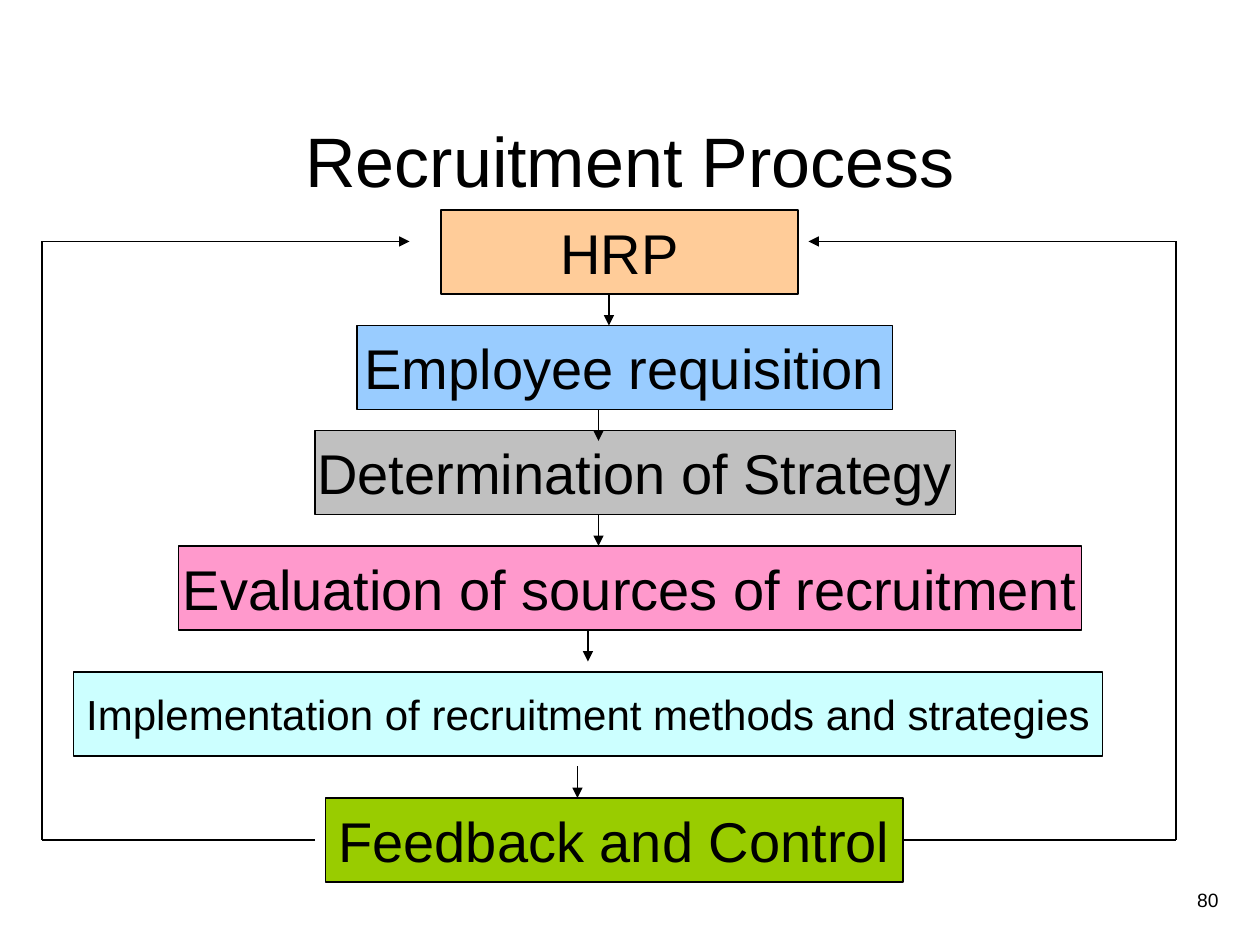
from itertools import pairwise

from lxml.etree import SubElement
from pptx import Presentation
from pptx.dml.color import RGBColor
from pptx.enum.shapes import MSO_CONNECTOR, MSO_SHAPE
from pptx.enum.text import MSO_ANCHOR, MSO_AUTO_SIZE, PP_ALIGN
from pptx.oxml.ns import qn
from pptx.util import Pt

BLACK = RGBColor(0x00, 0x00, 0x00)
PEACH = RGBColor(0xFF, 0xCC, 0x99)
SKY = RGBColor(0x99, 0xCC, 0xFF)
SILVER = RGBColor(0xC0, 0xC0, 0xC0)
PINK = RGBColor(0xFF, 0x99, 0xCC)
AQUA = RGBColor(0xCC, 0xFF, 0xFF)
LIME = RGBColor(0x99, 0xCC, 0x00)

TITLE = "Recruitment Process"
PAGE_NUMBER = "80"
STEP_HEIGHT = 48
ARROW_LENGTH = 18

# text, left, top, width, fill, text size
STEPS = [
    ("HRP", 252, 120, 204, PEACH, 32),
    ("Employee requisition", 204, 186, 306, SKY, 32),
    ("Determination of Strategy", 180, 246, 366, SILVER, 32),
    ("Evaluation of sources of recruitment", 102, 312, 516, PINK, 32),
    ("Implementation of recruitment methods and strategies", 42, 384, 588, AQUA, 24),
    ("Feedback and Control", 186, 456, 330, LIME, 32),
]
STEP_ARROWS = [(348, 168), (342, 234), (342, 294), (336, 360), (330, 438)]
LEFT_LOOP = [(180, 480), (24, 480), (24, 138), (234, 138)]
RIGHT_LOOP = [(516, 480), (672, 480), (672, 138), (462, 138)]


def write(box, text, size, align=PP_ALIGN.CENTER, anchor=MSO_ANCHOR.MIDDLE, wrap=True):
    frame = box.text_frame
    frame.auto_size = MSO_AUTO_SIZE.NONE
    frame.word_wrap = wrap
    frame.vertical_anchor = anchor
    para = frame.paragraphs[0]
    para.alignment = align
    span = para.add_run()
    span.text = text
    span.font.name = "Arial"
    span.font.size = Pt(size)
    span.font.color.rgb = BLACK


def add_step(page, text, left, top, width, fill, size):
    box = page.shapes.add_shape(
        MSO_SHAPE.RECTANGLE, Pt(left), Pt(top), Pt(width), Pt(STEP_HEIGHT))
    box.shadow.inherit = False
    box.fill.solid()
    box.fill.fore_color.rgb = fill
    box.line.color.rgb = BLACK
    box.line.width = Pt(0.75)
    write(box, text, size, wrap=False)
    return box


def add_line(page, start, end, arrow=False):
    line = page.shapes.add_connector(
        MSO_CONNECTOR.STRAIGHT, *(Pt(value) for value in (*start, *end)))
    line.line.color.rgb = BLACK
    line.line.width = Pt(0.75)
    if arrow:
        SubElement(line.line._get_or_add_ln(), qn("a:tailEnd"), type="triangle")
    SubElement(line._element.spPr, qn("a:effectLst"))
    return line


def add_loop(page, points):
    return [add_line(page, start, end, arrow=end == points[-1])
            for start, end in pairwise(points)]


def main():
    deck = Presentation()
    deck.slide_width, deck.slide_height = Pt(720), Pt(540)
    page = deck.slides.add_slide(deck.slide_layouts[5])

    title = page.shapes.title
    title.left, title.top, title.width, title.height = Pt(36), Pt(66), Pt(648), Pt(50.4)
    write(title, TITLE, 40)

    number = page.shapes.add_textbox(Pt(535.7), Pt(504), Pt(167.8), Pt(37.4))
    write(number, PAGE_NUMBER, 11, align=PP_ALIGN.RIGHT, anchor=MSO_ANCHOR.TOP)

    boxes = [add_step(page, *step) for step in STEPS]
    for x, y in STEP_ARROWS:
        add_line(page, (x, y), (x, y + ARROW_LENGTH), arrow=True)

    add_loop(page, LEFT_LOOP)
    right_lines = add_loop(page, RIGHT_LOOP)
    right_lines[0].begin_connect(boxes[-1], 3)

    deck.save("out.pptx")


if __name__ == "__main__":
    main()
